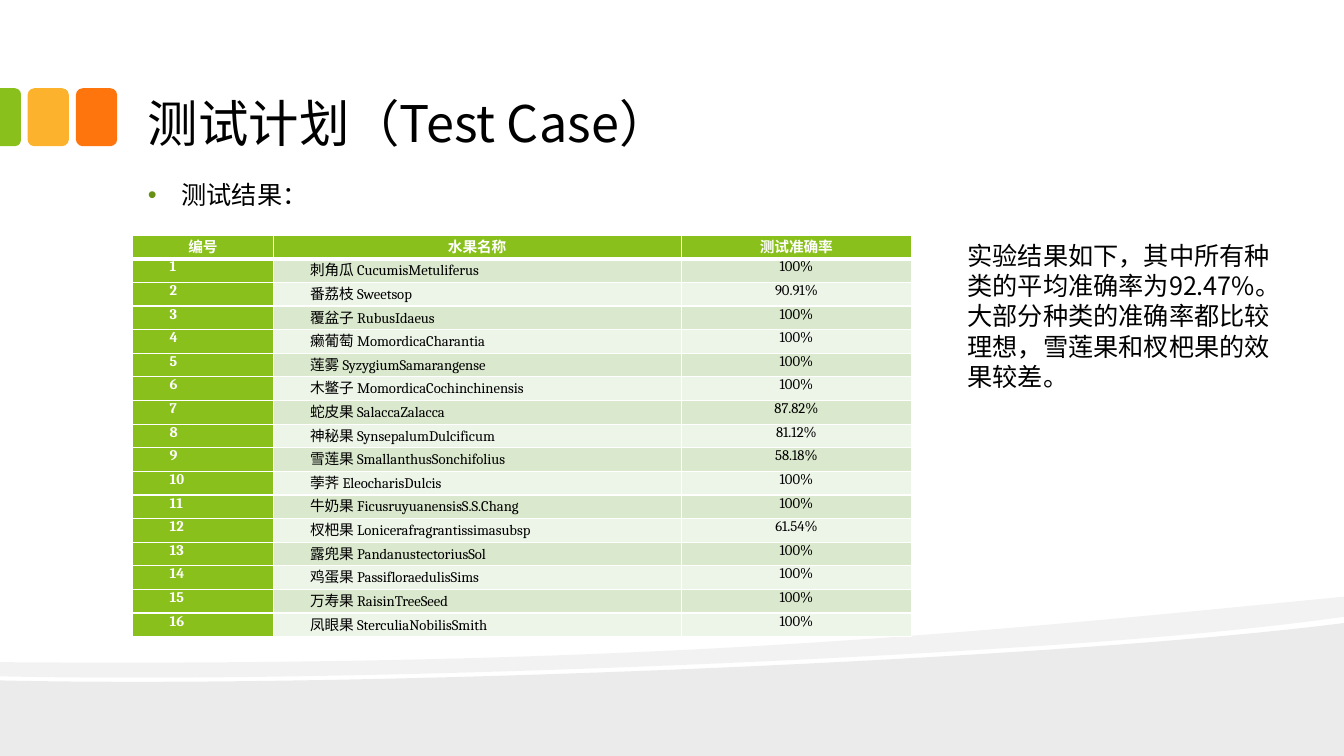
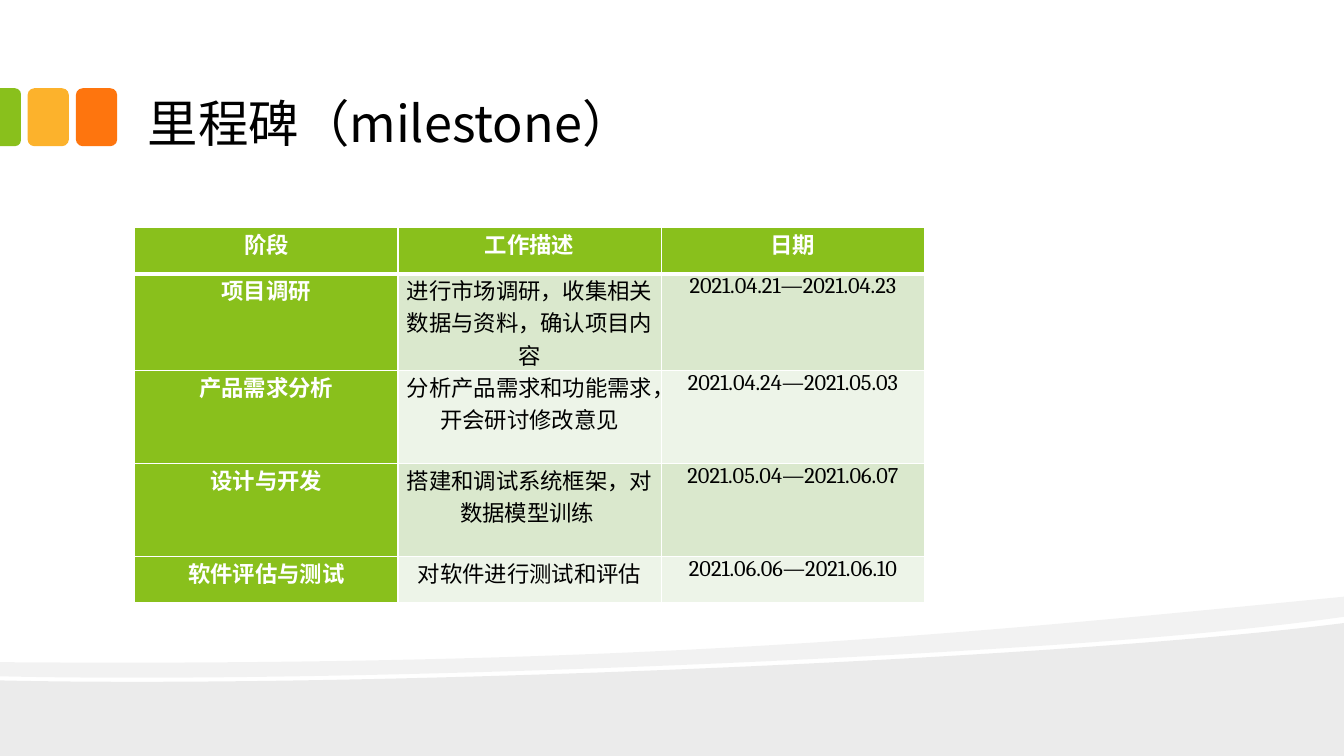
from dataclasses import dataclass
from typing import Optional

from lxml.etree import SubElement
from pptx import Presentation
from pptx.dml.color import RGBColor
from pptx.enum.shapes import MSO_SHAPE as Shape
from pptx.enum.text import MSO_ANCHOR as Anchor, MSO_AUTO_SIZE as AutoSize, PP_ALIGN as Align
from pptx.oxml.ns import qn
from pptx.util import Pt

COLORS = {
    "text": "000000",
    "white": "FFFFFF",
    "green": "89C01C",
    "yellow": "FCB22C",
    "orange": "FE750E",
    "bullet": "679015",
    "odd_row": "DAE8CD",
    "even_row": "EDF4E8",
}
SANS, SERIF = "Noto Sans CJK SC", "Cambria"
WIDTH, HEIGHT = 960, 540
MARGIN_LEFT = 96
PLACEHOLDER_INSETS = (9.6, 4.8)

Point = tuple[float, float]


@dataclass
class Band:
    """An outline: a one-point segment is a line, a three-point one a curve."""
    start: Point
    segments: list[tuple[Point, ...]]
    opacity: int


@dataclass
class Tile:
    shape: Shape
    color: str
    left: float
    top: float
    width: float
    height: float
    rotation: float = 0


@dataclass
class TableLayout:
    left: float
    top: float
    columns: list[float]
    rows: list[float]
    size: float
    aligns: tuple[Align, ...]
    indent: float = 0


BANDS = [
    Band((960, 445), [((960, 540),), ((0, 540),), ((0, 486),),
                      ((253.5, 491.8), (750.2, 471.6), (960, 445))], 8),
    Band((960, 426.2), [((960, 440.6),),
                        ((903.6, 448.6), (827.3, 455.8), (740.9, 461.5)),
                        ((502.6, 477.4), (185.8, 487.4), (0, 483.1)),
                        ((0, 473),),
                        ((469.4, 476.6), (699.1, 451.4), (960, 426.2))], 5),
]
TILES = [
    Tile(Shape.ROUNDED_RECTANGLE, "orange", 54.2, 63, 29.5, 41.4),
    Tile(Shape.ROUNDED_RECTANGLE, "yellow", 19.7, 63, 29.5, 41.4),
    Tile(Shape.ROUND_2_SAME_RECTANGLE, "green", -13.2, 76.2, 41.4, 15, 90),
]

FRUITS = [
    ("刺角瓜 CucumisMetuliferus", "100%"),
    ("番荔枝 Sweetsop", "90.91%"),
    ("覆盆子 RubusIdaeus", "100%"),
    ("癞葡萄 MomordicaCharantia", "100%"),
    ("莲雾 SyzygiumSamarangense", "100%"),
    ("木鳖子 MomordicaCochinchinensis", "100%"),
    ("蛇皮果 SalaccaZalacca", "87.82%"),
    ("神秘果 SynsepalumDulcificum", "81.12%"),
    ("雪莲果 SmallanthusSonchifolius", "58.18%"),
    ("荸荠 EleocharisDulcis", "100%"),
    ("牛奶果 FicusruyuanensisS.S.Chang", "100%"),
    ("杈杷果 Lonicerafragrantissimasubsp", "61.54%"),
    ("露兜果 PandanustectoriusSol", "100%"),
    ("鸡蛋果 PassifloraedulisSims", "100%"),
    ("万寿果 RaisinTreeSeed", "100%"),
    ("凤眼果 SterculiaNobilisSmith", "100%"),
]
MILESTONES = [
    ("阶段", "工作描述", "日期"),
    ("项目调研", "进行市场调研，收集相关数据与资料，确认项目内容", "2021.04.21—2021.04.23"),
    ("产品需求分析", "分析产品需求和功能需求，开会研讨修改意见", "2021.04.24—2021.05.03"),
    ("设计与开发", "搭建和调试系统框架，对数据模型训练 ", "2021.05.04—2021.06.07"),
    ("软件评估与测试", "对软件进行测试和评估", "2021.06.06—2021.06.10"),
]


def rgb(name: str) -> RGBColor:
    return RGBColor.from_string(COLORS[name])


def place(box, left: float, top: float, width: float, height: float) -> None:
    box.left, box.top, box.width, box.height = Pt(left), Pt(top), Pt(width), Pt(height)


# Text
def write(frame, text: str, *, size: float, color: str = "text", bold: bool = False,
          font: str = SANS, align: Align = Align.LEFT, indent: float = 0,
          margin: float = 0, bullet: Optional[str] = None,
          spacing: Optional[float] = None) -> None:
    para = frame.paragraphs[0]
    properties = para._p.get_or_add_pPr()
    properties.set("marL", str(Pt(margin)))
    properties.set("indent", str(Pt(indent)))
    if bullet:
        bullet_color = SubElement(properties, qn("a:buClr"))
        SubElement(bullet_color, qn("a:srgbClr")).set("val", COLORS["bullet"])
        SubElement(properties, qn("a:buChar")).set("char", bullet)
    para.alignment = align
    para.space_before = Pt(0)
    if spacing:
        para.line_spacing = spacing
    span = para.add_run()
    span.text = text
    span.font.size = Pt(size)
    span.font.bold = bold
    span.font.color.rgb = rgb(color)
    span.font.name = font
    SubElement(span._r.get_or_add_rPr(), qn("a:ea")).set("typeface", SANS)


def prepare_frame(frame, anchor: Anchor, insets: tuple[float, float]) -> None:
    frame.word_wrap = True
    frame.auto_size = AutoSize.NONE
    frame.vertical_anchor = anchor
    frame.margin_left = frame.margin_right = Pt(insets[0])
    frame.margin_top = frame.margin_bottom = Pt(insets[1])


# Shared background, kept on the slide master
def finish_shape(shape, color: str) -> None:
    shape.shadow.inherit = False
    shape.fill.solid()
    shape.fill.fore_color.rgb = rgb(color)
    shape.line.fill.background()


def bend_edges(shape, band: Band) -> None:
    """Turn the straight edges of three-point segments into Bezier curves."""
    edges = shape.element.xpath(".//a:path/a:lnTo")
    for edge, segment in zip(edges, band.segments):
        if len(segment) == 1:
            continue
        edge.tag = qn("a:cubicBezTo")
        for index, (x, y) in enumerate(segment[:-1]):
            control = SubElement(edge, qn("a:pt"))
            control.set("x", str(Pt(x) - shape.left))
            control.set("y", str(Pt(y) - shape.top))
            edge.insert(index, control)


def draw_band(page, band: Band):
    builder = page.shapes.build_freeform(Pt(band.start[0]), Pt(band.start[1]))
    corners = [segment[-1] for segment in band.segments]
    builder.add_line_segments([(Pt(x), Pt(y)) for x, y in corners], close=True)
    shape = builder.convert_to_shape()
    bend_edges(shape, band)
    finish_shape(shape, "text")
    fill_color = shape.element.spPr.find(f"{qn('a:solidFill')}/{qn('a:srgbClr')}")
    SubElement(fill_color, qn("a:alpha")).set("val", str(band.opacity * 1000))
    return shape


def draw_tile(page, tile: Tile):
    shape = page.shapes.add_shape(tile.shape, Pt(tile.left), Pt(tile.top),
                                  Pt(tile.width), Pt(tile.height))
    shape.rotation = tile.rotation
    if tile.shape == Shape.ROUND_2_SAME_RECTANGLE:
        shape.adjustments[0] = 0.29
    finish_shape(shape, tile.color)
    return shape


def decorate_master(deck, page) -> None:
    shapes = [draw_band(page, band) for band in BANDS]
    shapes += [draw_tile(page, tile) for tile in TILES]
    tree = deck.slide_master.shapes.element
    for index, shape in enumerate(shapes):
        shape.element.xpath(".//p:cNvPr")[0].set("id", str(100 + index))
        tree.insert(2 + index, shape.element)


def add_page(deck, layout_index: int, title: str):
    page = deck.slides.add_slide(deck.slide_layouts[layout_index])
    box = page.shapes.title
    place(box, MARGIN_LEFT, 12, 767.5, 102)
    prepare_frame(box.text_frame, Anchor.BOTTOM, PLACEHOLDER_INSETS)
    write(box.text_frame, title, size=36)
    return page


# Tables
def set_borders(cell, **widths: float) -> None:
    properties = cell._tc.get_or_add_tcPr()
    for side in "LRTB":
        line = SubElement(properties, qn(f"a:ln{side}"))
        line.set("w", str(Pt(widths.get(side, 1))))
        fill = SubElement(line, qn("a:solidFill"))
        SubElement(fill, qn("a:srgbClr")).set("val", COLORS["white"])


def draw_table(page, rows: list[tuple[str, ...]], layout: TableLayout) -> None:
    table = page.shapes.add_table(
        len(rows), len(layout.columns), Pt(layout.left), Pt(layout.top),
        Pt(sum(layout.columns)), Pt(sum(layout.rows))).table
    table.horz_banding = False
    for column, width in zip(table.columns, layout.columns):
        column.width = Pt(width)
    for row, height in zip(table.rows, layout.rows):
        row.height = Pt(height)
    for r, texts in enumerate(rows):
        for c, text in enumerate(texts):
            cell = table.cell(r, c)
            heading = r == 0 or c == 0
            align = Align.CENTER if r == 0 else layout.aligns[c]
            cell.margin_left = cell.margin_right = Pt(5.4)
            cell.margin_top = cell.margin_bottom = Pt(0)
            set_borders(cell, T=3 if r == 1 else 1, B=3 if r == 0 else 1)
            cell.fill.solid()
            cell.fill.fore_color.rgb = rgb(
                "green" if heading else "odd_row" if r % 2 else "even_row")
            write(cell.text_frame, text, size=layout.size, font=SERIF, bold=heading,
                  color="white" if heading else "text", align=align,
                  indent=layout.indent if align == Align.JUSTIFY else 0)


# Slides
def build_results(deck):
    page = add_page(deck, 1, "测试计划（Test Case）")
    body = page.placeholders[1]
    place(body, MARGIN_LEFT, 126, 767.5, 360)
    prepare_frame(body.text_frame, Anchor.TOP, PLACEHOLDER_INSETS)
    write(body.text_frame, "测试结果：", size=18, align=Align.JUSTIFY, margin=24,
          indent=-24, bullet="•", spacing=0.9)

    rows = [("编号", "水果名称", "测试准确率")]
    rows += [(str(number), *fruit) for number, fruit in enumerate(FRUITS, 1)]
    draw_table(page, rows, TableLayout(
        94.8, 168, [100.3, 291.6, 164.4], [16.87] * len(rows), 10.5,
        (Align.JUSTIFY, Align.JUSTIFY, Align.CENTER), indent=21))

    summary = page.shapes.add_textbox(Pt(684), Pt(168), Pt(244), Pt(145))
    prepare_frame(summary.text_frame, Anchor.TOP, (7.2, 3.6))
    write(summary.text_frame,
          "实验结果如下，其中所有种类的平均准确率为92.47%。"
          "大部分种类的准确率都比较理想，雪莲果和杈杷果的效果较差。",
          size=18)
    return page


def build_milestones(deck) -> None:
    page = add_page(deck, 5, "里程碑（milestone）")
    unit = 33.2
    draw_table(page, MILESTONES, TableLayout(
        96.2, 162.4, [188.1] * 3, [unit * lines for lines in (1, 2, 2, 2, 1)], 16,
        (Align.CENTER,) * 3))


def main() -> None:
    deck = Presentation()
    deck.slide_width, deck.slide_height = Pt(WIDTH), Pt(HEIGHT)
    decorate_master(deck, build_results(deck))
    build_milestones(deck)
    deck.save("out.pptx")


if __name__ == "__main__":
    main()
